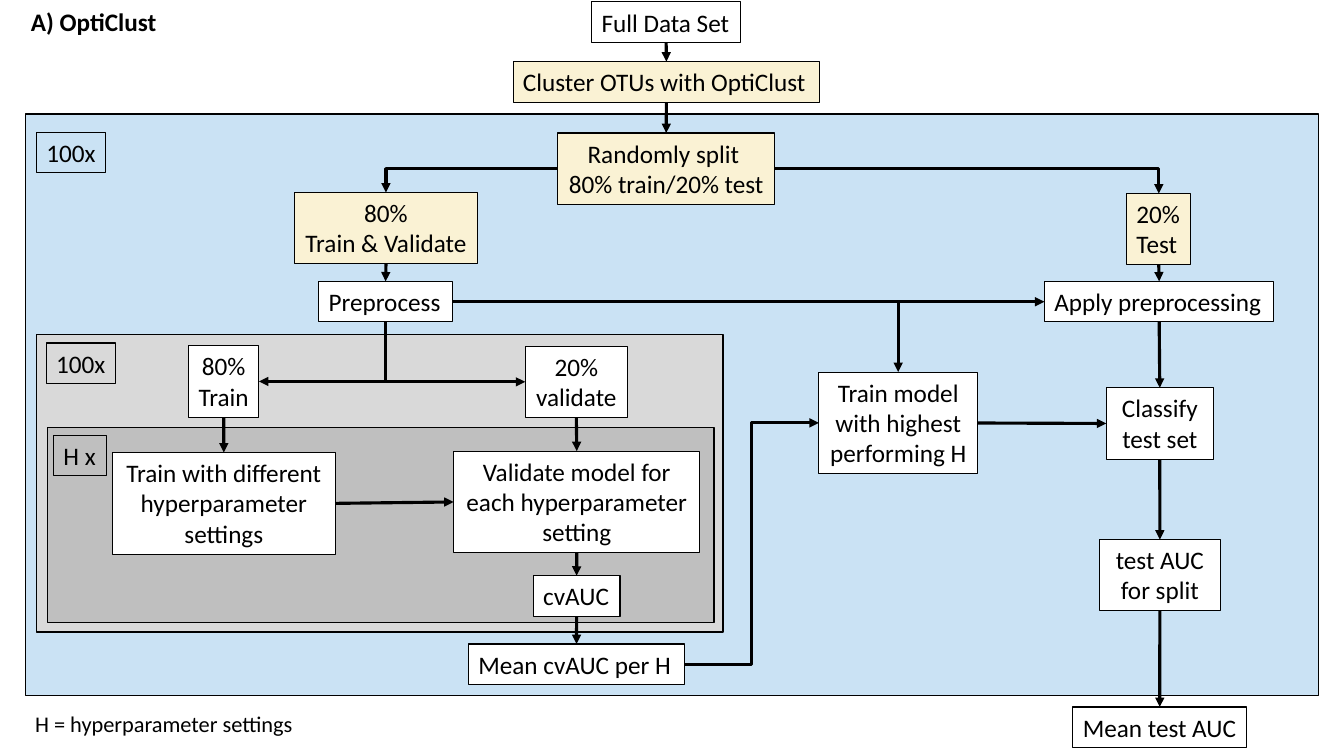
from lxml import etree
from pptx import Presentation
from pptx.dml.color import RGBColor
from pptx.enum import shapes, text
from pptx.oxml import ns
from pptx.util import Pt

HUES = {"black": "000000", "white": "FFFFFF", "cream": "FAF2D4",
        "blue": "9AC9EB", "light": "D9D9D9", "grey": "BFBFBF"}

deck = Presentation()
deck.slide_width, deck.slide_height = Pt(960), Pt(540)
slide = deck.slides.add_slide(deck.slide_layouts[6])


def add_rect(x, y, w, h, hue, width):
    """Add an outlined rectangle; a hue of None leaves it unfilled."""
    rect = slide.shapes.add_shape(
        shapes.MSO_SHAPE.RECTANGLE, Pt(x), Pt(y), Pt(w), Pt(h))
    rect.shadow.inherit = False
    if hue:
        rect.fill.solid()
        rect.fill.fore_color.rgb = RGBColor.from_string(HUES[hue])
    else:
        rect.fill.background()
    rect.line.color.rgb = RGBColor.from_string(HUES["black"])
    rect.line.width = Pt(width)
    return rect


def write(shape, words, align="left", wrap=False, size=18, bold=False):
    frame = shape.text_frame
    frame.word_wrap = wrap
    frame.auto_size = text.MSO_AUTO_SIZE.SHAPE_TO_FIT_TEXT
    frame.vertical_anchor = text.MSO_ANCHOR.TOP
    for i, line in enumerate(words.split("\n")):
        para = frame.add_paragraph() if i else frame.paragraphs[0]
        para.alignment = (text.PP_ALIGN.CENTER if align == "center"
                          else text.PP_ALIGN.LEFT)
        run = para.add_run()
        run.text = line
        run.font.name = "Calibri"
        run.font.size = Pt(size)
        run.font.bold = bold
        run.font.color.rgb = RGBColor.from_string(HUES["black"])


# Nested loops: outer splits, inner splits, hyperparameters
outer = add_rect(18, 81.5, 924, 415.5, "blue", 1)
tint = outer.fill._xPr.find(".//" + ns.qn("a:srgbClr"))
etree.SubElement(tint, ns.qn("a:alpha")).set("val", "52000")
add_rect(26, 239, 490.5, 212.5, "light", 1)
add_rect(34, 305.5, 476, 139, "grey", 1)

# Loop counts
for words, x, y, w in [("100x", 26, 94.5, 49.5), ("100x", 33, 245, 49.5),
                       ("H x", 38.2, 311, 38)]:
    write(add_rect(x, y, w, 29, None, 0.75), words)

# Steps: name, words, left, top, width, height, hue, alignment, wrap
STEPS = [
    ("full", "Full Data Set", 422.6, 1.4, 106.5, 29, "white", "left", False),
    ("cluster", "Cluster OTUs with OptiClust", 366.5, 44, 219, 29, "cream", "left", False),
    ("split", "Randomly split \n80% train/20% test", 398.4, 95, 155, 51, "cream", "center", False),
    ("major", "80%\nTrain & Validate", 210.2, 137.5, 131, 51, "cream", "center", False),
    ("minor", "20%\nTest", 804.7, 138.2, 46, 51, "cream", "left", False),
    ("prep", "Preprocess", 227.7, 201, 95.5, 29, "white", "left", False),
    ("apply", "Apply preprocessing", 746, 201, 164, 29, "white", "left", False),
    ("train", "80%\nTrain", 134.6, 247, 50.4, 51, "white", "center", False),
    ("valid", "20%\nvalidate", 375.2, 247.3, 73, 51, "white", "center", False),
    ("tune", "Train with different hyperparameter settings", 80.4, 323.2, 159, 72.7, "white", "center", True),
    ("check", "Validate model for each hyperparameter setting", 324, 322.2, 176, 72.7, "white", "center", True),
    ("score", "cvAUC", 380.9, 411.2, 62, 29, "white", "left", False),
    ("mean", "Mean cvAUC per H", 334.6, 460, 154.4, 29, "white", "left", False),
    ("best", "Train model with highest performing H", 584.9, 265.8, 113.4, 72.7, "white", "center", True),
    ("class", "Classify test set", 790.2, 277, 76.5, 51, "white", "center", True),
    ("test", "test AUC for split", 785.5, 385.4, 86, 51, "white", "center", True),
    ("final", "Mean test AUC", 766.4, 505, 124, 29, "white", "left", False),
]
boxes = {}
for name, words, x, y, w, h, hue, align, wrap in STEPS:
    boxes[name] = add_rect(x, y, w, h, hue, 0.75)
    write(boxes[name], words, align, wrap)

# Links: start, side, end, side, preset, arrowhead
TOP, LEFT, BOTTOM, RIGHT = range(4)
DOWN = [("full", "cluster"), ("cluster", "split"), ("major", "prep"),
        ("minor", "apply"), ("apply", "class"), ("class", "test"),
        ("test", "final"), ("train", "tune"), ("valid", "check"),
        ("check", "score"), ("score", "mean")]
ACROSS = [("prep", "apply"), ("tune", "check"), ("best", "class")]
LINKS = [(a, BOTTOM, b, TOP, "line", "tailEnd") for a, b in DOWN]
LINKS += [(a, RIGHT, b, LEFT, "line", "tailEnd") for a, b in ACROSS]
LINKS += [
    ("split", LEFT, "major", TOP, "bentConnector2", "tailEnd"),
    ("split", RIGHT, "minor", TOP, "bentConnector2", "tailEnd"),
    ("prep", RIGHT, "best", TOP, "bentConnector2", "tailEnd"),
    ("train", RIGHT, "prep", BOTTOM, "bentConnector2", "headEnd"),
    ("valid", LEFT, "prep", BOTTOM, "bentConnector2", "headEnd"),
    ("mean", RIGHT, "best", LEFT, "bentConnector3", "tailEnd"),
]
for start, out, end, into, preset, tip in LINKS:
    kind = (shapes.MSO_CONNECTOR.STRAIGHT if preset == "line"
            else shapes.MSO_CONNECTOR.ELBOW)
    link = slide.shapes.add_connector(kind, 0, 0, 0, 0)
    link.begin_connect(boxes[start], out)
    link.end_connect(boxes[end], into)
    link.line.color.rgb = RGBColor.from_string(HUES["black"])
    link.line.width = Pt(2.25)
    props = link.element.spPr
    props.find(ns.qn("a:prstGeom")).set("prst", preset)
    etree.SubElement(props.find(ns.qn("a:ln")), ns.qn("a:" + tip)).set("type", "triangle")
    etree.SubElement(props, ns.qn("a:effectLst"))

# Title and key
for words, x, y, w, h, size, bold in [
        ("A) OptiClust", 15, 1, 105, 29, 18, True),
        ("H = hyperparameter settings", 18, 503.5, 201.5, 26.6, 16, False)]:
    label = slide.shapes.add_textbox(Pt(x), Pt(y), Pt(w), Pt(h))
    write(label, words, size=size, bold=bold)

deck.save("out.pptx")
